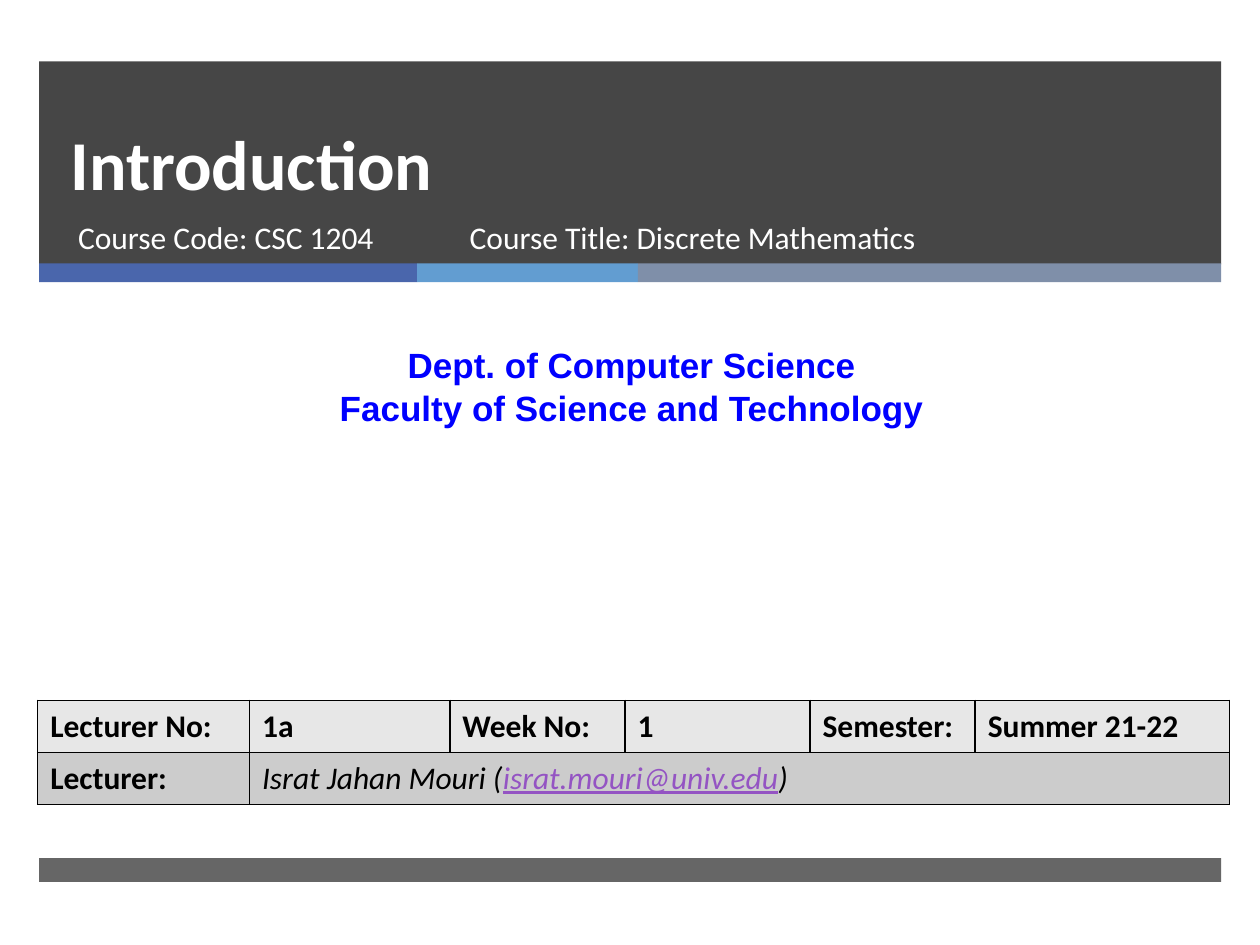
from lxml import etree
from pptx import Presentation
from pptx.dml.color import RGBColor
from pptx.enum.shapes import MSO_SHAPE
from pptx.enum.text import MSO_ANCHOR, PP_ALIGN
from pptx.oxml.ns import qn
from pptx.util import Cm, Pt

RECT = MSO_SHAPE.RECTANGLE
LEFT, CENTER = PP_ALIGN.LEFT, PP_ALIGN.CENTER
TOP, MIDDLE, BOTTOM = MSO_ANCHOR.TOP, MSO_ANCHOR.MIDDLE, MSO_ANCHOR.BOTTOM

COLORS = {
    "dark": "262626", "blue": "4A66AC", "sky": "629DD1", "slate": "7F8FA9",
    "white": "FFFFFF", "black": "000000", "dept": "0000FF", "link": "9454C3",
    "row_light": "E7E7E7", "row_dark": "CCCCCC",
}
BAND_LEFT, BAND_WIDTH = 0.79, 23.83
STRIPS = [("blue", 7.62), ("sky", 4.45), ("slate", 11.76)]
COL_WIDTHS = [4.27, 4.04, 3.53, 3.73, 3.33, 5.13]
ROW_HEIGHT = 1.05
HEADINGS = ["Lecturer No:", "1a", "Week No:", "1", "Semester:", "Summer 21-22"]
LECTURER = [("Israt Jahan Mouri (", "black"), ("israt.mouri@univ.edu", "link"), (")", "black")]


def rgb(name):
    """Return the named colour."""
    return RGBColor.from_string(COLORS[name])


def style_run(r, size, color, bold=False, italic=False, font="Calibri"):
    """Format one run."""
    r.font.name, r.font.size = font, Pt(size)
    r.font.bold, r.font.italic = bold, italic
    r.font.color.rgb = rgb(color)


def set_text(sp, box, text, size, color, bold=False, font="Calibri", align=LEFT, anchor=TOP):
    """Place a text shape and fill it with formatted paragraphs."""
    sp.left, sp.top, sp.width, sp.height = (Cm(v) for v in box)
    tf = sp.text_frame
    tf.text = text
    tf.word_wrap = True
    tf.vertical_anchor = anchor
    for p in tf.paragraphs:
        p.alignment = align
        p.space_before = Pt(0)
        for r in p.runs:
            style_run(r, size, color, bold, font=font)


def add_text(slide, box, *args, **kwargs):
    """Add a formatted text box."""
    sp = slide.shapes.add_textbox(*(Cm(v) for v in box))
    set_text(sp, box, *args, **kwargs)


def add_band(slide, left, top, width, height, color, opacity=100):
    """Add a borderless rectangle with the given opacity in percent."""
    sp = slide.shapes.add_shape(RECT, Cm(left), Cm(top), Cm(width), Cm(height))
    sp.shadow.inherit = False
    sp.line.fill.background()
    sp.fill.solid()
    sp.fill.fore_color.rgb = rgb(color)
    if opacity < 100:
        clr = sp.fill._xPr.find(qn("a:solidFill"))[0]
        etree.SubElement(clr, qn("a:alpha")).set("val", str(opacity * 1000))
    return sp


def add_bands(slide):
    """Add the header, its coloured strips and the footer behind the text."""
    bands = [add_band(slide, BAND_LEFT, 1.24, BAND_WIDTH, 4.09, "dark", 85)]
    left = BAND_LEFT
    for color, width in STRIPS:
        bands.append(add_band(slide, left, 5.31, width, 0.38, color))
        left += width
    bands.append(add_band(slide, BAND_LEFT, 17.3, BAND_WIDTH, 0.48, "dark", 70))
    for i, sp in enumerate(bands):
        slide.shapes._spTree.insert(2 + i, sp._element)


def style_cell(cell, fill):
    """Fill a cell and give it thin black borders."""
    cell.vertical_anchor = MIDDLE
    tcPr = cell._tc.get_or_add_tcPr()
    for side in ("a:lnL", "a:lnR", "a:lnT", "a:lnB"):
        ln = etree.SubElement(tcPr, qn(side), w=str(Pt(1)))
        solid = etree.SubElement(ln, qn("a:solidFill"))
        etree.SubElement(solid, qn("a:srgbClr"), val=COLORS["black"])
    cell.fill.solid()
    cell.fill.fore_color.rgb = rgb(fill)


def add_run(cell, text, color="black", **kwargs):
    """Append a formatted run to a cell and return it."""
    r = cell.text_frame.paragraphs[0].add_run()
    r.text = text
    style_run(r, 18, color, **kwargs)
    return r


def add_course_table(slide):
    """Add the table of lecture details."""
    tbl = slide.shapes.add_table(
        2, len(COL_WIDTHS), Cm(0.76), Cm(14.12), Cm(sum(COL_WIDTHS)), Cm(2 * ROW_HEIGHT)).table
    for col, width in zip(tbl.columns, COL_WIDTHS):
        col.width = Cm(width)
    for row, fill in zip(tbl.rows, ("row_light", "row_dark")):
        row.height = Cm(ROW_HEIGHT)
        for cell in row.cells:
            style_cell(cell, fill)
    for i, text in enumerate(HEADINGS):
        add_run(tbl.cell(0, i), text, bold=True)
    add_run(tbl.cell(1, 0), "Lecturer:", bold=True)
    tbl.cell(1, 1).merge(tbl.cell(1, len(COL_WIDTHS) - 1))
    for text, color in LECTURER:
        r = add_run(tbl.cell(1, 1), text, color, italic=True)
        r.font.underline = color == "link"


def main():
    """Build the title slide."""
    prs = Presentation()
    prs.slide_width, prs.slide_height = Cm(25.4), Cm(19.05)
    slide = prs.slides.add_slide(prs.slide_layouts[0])
    add_bands(slide)
    title, subtitle = slide.placeholders
    set_text(title, (1.17, 1.24, 21.69, 3.02), "Introduction", 40, "white", True, anchor=BOTTOM)
    title.text_frame.paragraphs[0].line_spacing = Pt(46)
    set_text(subtitle, (1.32, 4.27, 7.75, 1.35), "Course Code: CSC 1204", 18, "white")
    add_text(slide, (0.2, 6.81, 25.07, 1.96),
             "Dept. of Computer Science\nFaculty of Science and Technology",
             20, "dept", True, font="Arial", align=CENTER)
    add_course_table(slide)
    add_text(slide, (9.22, 4.27, 11.56, 1.35), "Course Title: Discrete Mathematics", 18, "white")
    prs.save("out.pptx")


if __name__ == "__main__":
    main()
